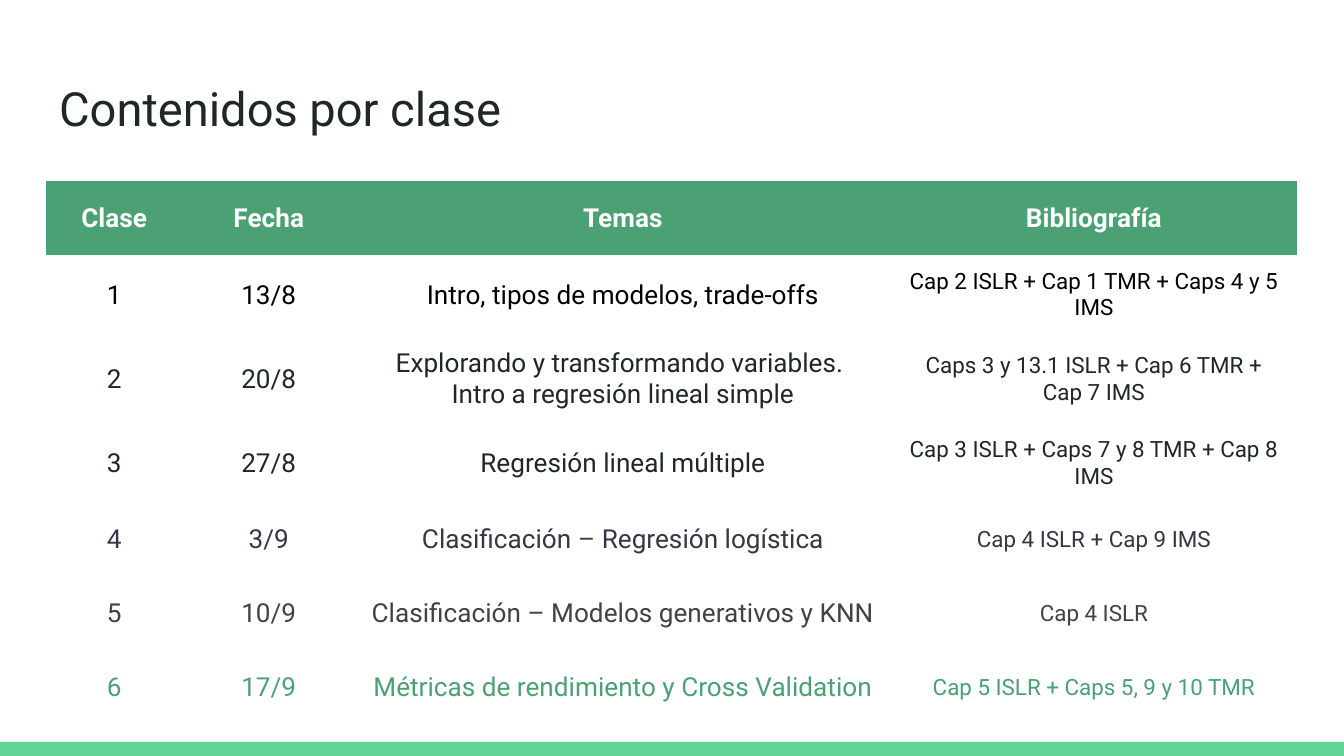
import pptx
import pptx.util
import pptx.dml.color
import pptx.enum.shapes
import pptx.enum.text
from dataclasses import dataclass

Inches = pptx.util.Inches
Anchor = pptx.enum.text.MSO_ANCHOR
Align = pptx.enum.text.PP_ALIGN


@dataclass(frozen=True)
class Theme:
    font: str = "Roboto"
    title_size: float = 25.2
    body_size: float = 14
    source_size: float = 12
    white: str = "FFFFFF"
    black: str = "000000"
    ink: str = "202729"
    slate: str = "353744"
    gray: str = "424242"
    green: str = "4BA173"
    bar: str = "63D297"


theme = Theme()


def rgb(value):
    return pptx.dml.color.RGBColor.from_string(value)


def style(para, size, color, align, bold=False):
    para.alignment = align
    para.font.name = theme.font
    para.font.size = pptx.util.Pt(size)
    para.font.bold = bold
    para.font.color.rgb = rgb(color)


# Widescreen page, 16:9
deck = pptx.Presentation()
deck.slide_width, deck.slide_height = Inches(10), Inches(10 * 9 / 16)
page = deck.slides.add_slide(deck.slide_layouts[5])

# Bottom bar
bar = page.shapes.add_shape(
    pptx.enum.shapes.MSO_SHAPE.RECTANGLE,
    Inches(0), Inches(5.52), Inches(10), Inches(0.11))
bar.shadow.inherit = False
bar.fill.solid()
bar.fill.fore_color.rgb = rgb(theme.bar)
bar.line.fill.background()

# Title
title = page.shapes.title
title.left, title.top = Inches(0.34), Inches(0.49)
title.width, title.height = Inches(9.32), Inches(0.63)
frame = title.text_frame
frame.text = "Contenidos por clase"
frame.auto_size = pptx.enum.text.MSO_AUTO_SIZE.NONE
frame.vertical_anchor = Anchor.TOP
frame.margin_left = frame.margin_right = Inches(0.1)
frame.margin_top = frame.margin_bottom = Inches(0.1)
style(frame.paragraphs[0], theme.title_size, theme.ink, Align.LEFT)

# Class schedule: text colour, then the four cells of each row
rows = [
    (theme.white, "Clase", "Fecha", "Temas", "Bibliografía"),
    (theme.black, "1", "13/8", "Intro, tipos de modelos, trade-offs",
     "Cap 2 ISLR + Cap 1 TMR + Caps 4 y 5 IMS"),
    (theme.ink, "2", "20/8",
     "Explorando y transformando variables. \nIntro a regresión lineal simple",
     "Caps 3 y 13.1 ISLR + Cap 6 TMR + Cap 7 IMS"),
    (theme.ink, "3", "27/8", "Regresión lineal múltiple",
     "Cap 3 ISLR + Caps 7 y 8 TMR + Cap 8 IMS"),
    (theme.slate, "4", "3/9", "Clasificación – Regresión logística",
     "Cap 4 ISLR + Cap 9 IMS"),
    (theme.gray, "5", "10/9", "Clasificación – Modelos generativos y KNN",
     "Cap 4 ISLR"),
    (theme.green, "6", "17/9", "Métricas de rendimiento y Cross Validation",
     "Cap 5 ISLR + Caps 5, 9 y 10 TMR"),
]
widths = [1.02, 1.28, 3.99, 3.02]
row_height = 0.55

holder = page.shapes.add_table(
    len(rows), len(widths), Inches(0.34), Inches(1.35),
    Inches(sum(widths)), Inches(row_height * len(rows)))
table = holder.table
table.first_row = table.horz_banding = False
# Table style without fills or grid lines
style_id = table._tbl.tblPr.find(pptx.oxml.ns.qn("a:tableStyleId"))
style_id.text = "{2D5ABB26-0587-4C30-8999-92F81FD0307C}"

for column, width in zip(table.columns, widths):
    column.width = Inches(width)

for r, (color, *texts) in enumerate(rows):
    table.rows[r].height = Inches(row_height)
    is_header = r == 0
    for c, text in enumerate(texts):
        cell = table.cell(r, c)
        cell.vertical_anchor = Anchor.MIDDLE
        cell.margin_left = cell.margin_right = Inches(0.1)
        cell.margin_top = cell.margin_bottom = Inches(0.1)
        if is_header:
            cell.fill.solid()
            cell.fill.fore_color.rgb = rgb(theme.green)
        else:
            cell.fill.background()
        is_source = c == 3 and not is_header
        size = theme.source_size if is_source else theme.body_size
        cell.text_frame.text = text
        for para in cell.text_frame.paragraphs:
            style(para, size, color, Align.CENTER, is_header)
            # The dash between topic and subtopic is always gray
            before, dash, after = para.text.partition("– ")
            if dash:
                para.runs[0].text = before
                span = para.add_run()
                span.text = dash
                span.font.color.rgb = rgb(theme.gray)
                para.add_run().text = after

deck.save("out.pptx")
